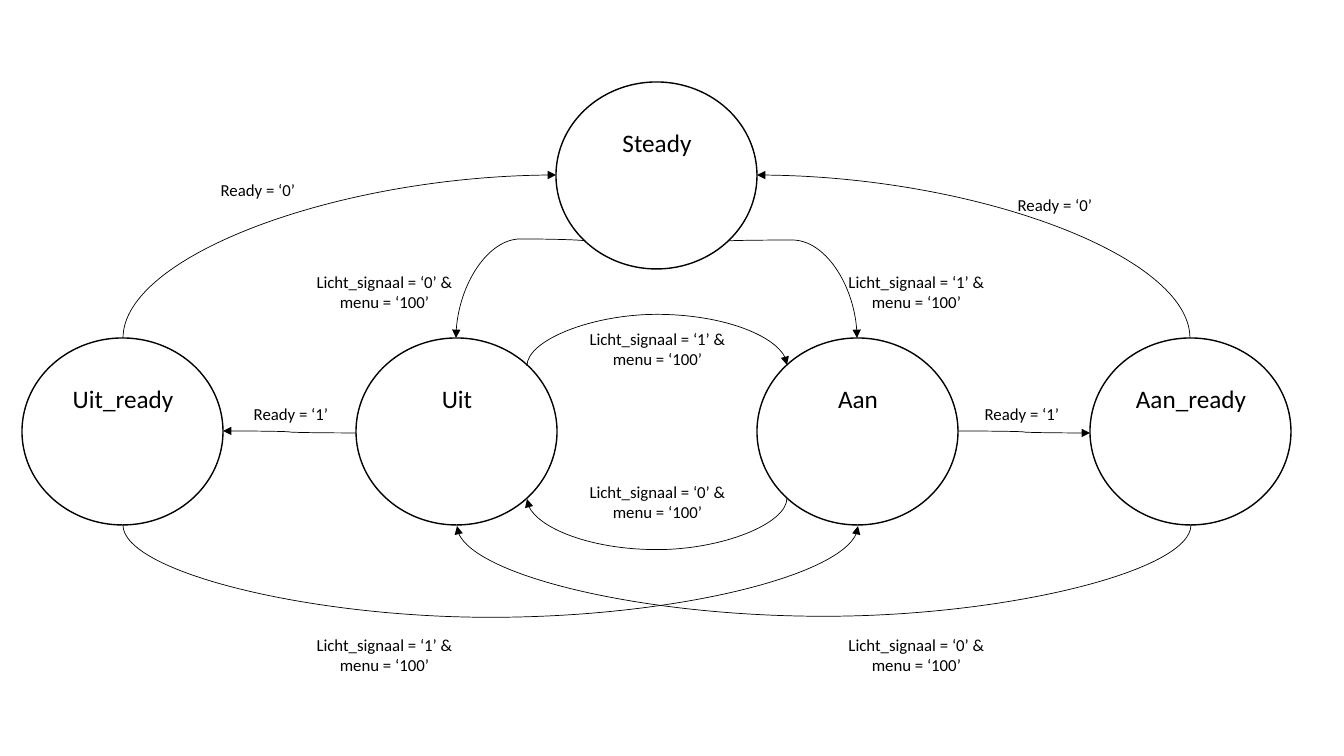
from dataclasses import dataclass
from typing import Any, Optional

from lxml import etree
from pptx import Presentation
from pptx import util as u
from pptx.dml import color
from pptx.enum import shapes, text
from pptx.oxml import ns

PIXEL = u.Inches(1) / 100.8


@dataclass(frozen=True)
class Theme:
    ink: color.RGBColor = color.RGBColor(0, 0, 0)
    font: str = "Calibri"
    state_size: int = 18
    label_size: int = 12
    outline: float = 1
    arrow: float = 0.5


@dataclass(frozen=True)
class State:
    name: str
    left: int
    top: int


@dataclass(frozen=True)
class Transition:
    start: tuple[int, int]
    end: tuple[int, int]
    vertical: bool = True
    bend: Optional[int] = None


@dataclass(frozen=True)
class Label:
    wording: str
    left: int
    top: int
    width: int
    height: int


THEME = Theme()
STATE_WIDTH, STATE_HEIGHT = 201, 187
ROW_TOP = 338

STATES = [
    State("Steady", 556, 82),
    State("Aan", 757, ROW_TOP),
    State("Aan_ready", 1090, ROW_TOP),
    State("Uit", 356, ROW_TOP),
    State("Uit_ready", 22, ROW_TOP),
]

TRANSITIONS = [
    Transition((728, 241), (857, 338), bend=240),
    Transition((585, 241), (456, 338), bend=239),
    Transition((787, 498), (527, 499), bend=550),
    Transition((958, 431), (1090, 433), vertical=False),
    Transition((1191, 525), (457, 526), bend=617),
    Transition((1190, 338), (757, 175)),
    Transition((527, 366), (787, 365), bend=314),
    Transition((356, 433), (223, 431), vertical=False),
    Transition((123, 338), (556, 175)),
    Transition((123, 525), (858, 526), bend=618),
]


def signal_label(value: int, left: int, top: int) -> Label:
    return Label(f"Licht_signaal = ‘{value}’ & menu = ‘100’", left, top, 165, 50)


def ready_label(value: int, left: int, top: int) -> Label:
    return Label(f"Ready = ‘{value}’", left, top, 130, 30)


LABELS = [
    signal_label(1, 834, 267),
    signal_label(0, 302, 267),
    ready_label(1, 957, 399),
    ready_label(1, 226, 399),
    ready_label(0, 990, 190),
    ready_label(0, 193, 175),
    signal_label(1, 575, 324),
    signal_label(0, 575, 477),
    signal_label(0, 834, 630),
    signal_label(1, 302, 630),
]


def px(value: float) -> u.Emu:
    return u.Emu(round(value * PIXEL))


def add_text(container: Any, wording: str, *, left: int, top: int,
             width: int, height: int, size: int) -> None:
    frame = container.add_textbox(px(left), px(top), px(width), px(height)).text_frame
    frame.word_wrap = True
    paragraph = frame.paragraphs[0]
    paragraph.alignment = text.PP_ALIGN.CENTER
    run = paragraph.add_run()
    run.text = wording
    run.font.name = THEME.font
    run.font.size = u.Pt(size)
    run.font.color.rgb = THEME.ink


def add_state(container: Any, state: State) -> None:
    group = container.add_group_shape()
    circle = group.shapes.add_shape(
        shapes.MSO_SHAPE.OVAL, px(state.left), px(state.top),
        px(STATE_WIDTH), px(STATE_HEIGHT))
    circle.shadow.inherit = False
    circle.fill.background()
    circle.line.color.rgb = THEME.ink
    circle.line.width = u.Pt(THEME.outline)
    add_text(group.shapes, state.name, left=state.left + 34, top=state.top + 40,
             width=134, height=40, size=THEME.state_size)


def turn_vertical(connector: Any, transition: Transition) -> None:
    (x1, y1), (x2, y2) = transition.start, transition.end
    width, height = abs(y2 - y1), abs(x2 - x1)
    connector.left = px((x1 + x2 - width) / 2)
    connector.top = px((y1 + y2 - height) / 2)
    connector.width, connector.height = px(width), px(height)
    frame = connector._element.spPr.find(ns.qn("a:xfrm"))
    frame.set("rot", str(90 * 60000))
    frame.set("flipH", str(int(y2 < y1)))
    frame.set("flipV", str(int(x2 > x1)))
    geometry = connector._element.spPr.find(ns.qn("a:prstGeom"))
    if transition.bend is None:
        geometry.set("prst", "curvedConnector2")
        return
    adjustments = geometry.find(ns.qn("a:avLst"))
    ratio = round((transition.bend - y1) / (y2 - y1) * 100000)
    etree.SubElement(adjustments, ns.qn("a:gd"), name="adj1", fmla=f"val {ratio}")


def add_transition(container: Any, transition: Transition) -> None:
    connector = container.add_connector(
        shapes.MSO_CONNECTOR.CURVE,
        *(px(value) for value in transition.start + transition.end))
    if transition.vertical:
        turn_vertical(connector, transition)
    connector.line.color.rgb = THEME.ink
    connector.line.width = u.Pt(THEME.arrow)
    properties = connector._element.spPr
    etree.SubElement(properties.find(ns.qn("a:ln")), ns.qn("a:tailEnd"), type="triangle")
    etree.SubElement(properties, ns.qn("a:effectLst"))


def main() -> None:
    presentation = Presentation()
    presentation.slide_width = px(1344)
    presentation.slide_height = px(756)
    slide = presentation.slides.add_slide(presentation.slide_layouts[6])
    for state in STATES:
        add_state(slide.shapes, state)
    for transition in TRANSITIONS:
        add_transition(slide.shapes, transition)
    for label in LABELS:
        add_text(slide.shapes, label.wording, left=label.left, top=label.top,
                 width=label.width, height=label.height, size=THEME.label_size)
    presentation.save("out.pptx")


main()
